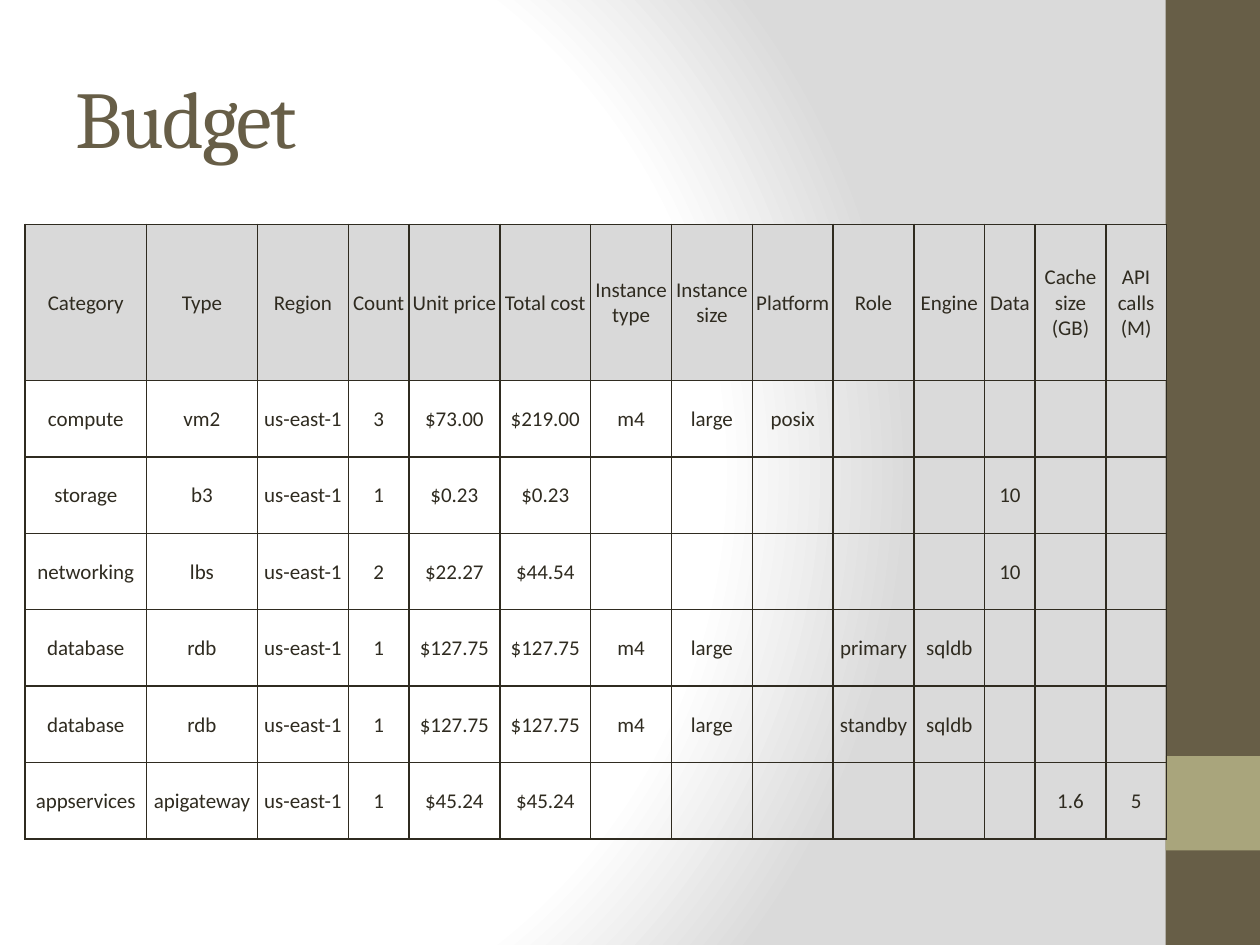
from pptx import Presentation
from pptx.dml.color import RGBColor
from pptx.enum.shapes import MSO_SHAPE as SHAPE
from pptx.enum.text import MSO_ANCHOR as ANCHOR, PP_ALIGN as ALIGN
from pptx.oxml import parse_xml
from pptx.oxml.ns import nsdecls, qn
from pptx.util import Inches, Pt

W, H = Inches(10), Inches(7.5)
BROWN, OLIVE, INK, GREY = "675E47", "A9A57C", "2F2B20", "D9D9D9"

# Column widths as shares of the table width
COLUMNS = [
    ("Category", 12), ("Type", 11), ("Region", 9), ("Count", 6),
    ("Unit price", 9), ("Total cost", 9), ("Instance type", 8),
    ("Instance size", 8), ("Platform", 8), ("Role", 8), ("Engine", 7),
    ("Data", 5), ("Cache size (GB)", 7), ("API calls (M)", 6),
]
REGION = "us-east-1"
SERVER = {"Instance type": "m4", "Instance size": "large"}
DATABASE = SERVER | {"Engine": "sqldb"}

# Six fixed values per item, then the optional ones by column name
ITEMS = [
    (["compute", "vm2", REGION, "3", "$73.00", "$219.00"],
     SERVER | {"Platform": "posix"}),
    (["storage", "b3", REGION, "1", "$0.23", "$0.23"], {"Data": "10"}),
    (["networking", "lbs", REGION, "2", "$22.27", "$44.54"], {"Data": "10"}),
    (["database", "rdb", REGION, "1", "$127.75", "$127.75"],
     DATABASE | {"Role": "primary"}),
    (["database", "rdb", REGION, "1", "$127.75", "$127.75"],
     DATABASE | {"Role": "standby"}),
    (["appservices", "apigateway", REGION, "1", "$45.24", "$45.24"],
     {"Cache size (GB)": "1.6", "API calls (M)": "5"}),
]


def color(value):
    return RGBColor.from_string(value)


def add_run(p, text, size, font, ink):
    r = p.add_run()
    r.text = text
    r.font.size, r.font.name = Pt(size), font
    r.font.color.rgb = color(ink)
    return r


def set_background(s):
    s.background.fill.gradient()
    grad = s.element.find(".//" + qn("a:gradFill"))
    stops = "".join(
        f'<a:gs pos="{pos * 1000}"><a:srgbClr val="{value}"/></a:gs>'
        for pos, value in [(0, "FFFFFF"), (75, "FFFFFF"), (100, "DADADA")])
    grad.getparent().replace(grad, parse_xml(
        f'<a:gradFill {nsdecls("a")} rotWithShape="1"><a:gsLst>{stops}</a:gsLst>'
        '<a:path path="circle"><a:fillToRect l="20000" t="50000" r="100000" '
        'b="50000"/></a:path></a:gradFill>'))


def add_band(s, top, height, fill):
    left = int(W * 0.925)
    sp = s.shapes.add_shape(SHAPE.RECTANGLE, left, int(H * top),
                            W - left, int(H * height))
    sp.shadow.inherit = False
    sp.fill.solid()
    sp.fill.fore_color.rgb = color(fill)
    sp.line.fill.background()


def add_title(s, text):
    sp = s.shapes.add_textbox(int(W * 0.05), int(H * 0.04),
                              int(W * 0.833), Inches(1.25))
    tf = sp.text_frame
    tf.word_wrap = True
    tf.vertical_anchor = ANCHOR.MIDDLE
    r = add_run(tf.paragraphs[0], text, 46, "Cambria", BROWN)
    r.font._element.set("spc", "-100")


def add_borders(cell):
    tc_pr = cell._tc.get_or_add_tcPr()
    for i, side in enumerate(("lnL", "lnR", "lnT", "lnB")):
        tc_pr.insert(i, parse_xml(
            f'<a:{side} {nsdecls("a")} w="12700"><a:solidFill>'
            f'<a:srgbClr val="{INK}"/></a:solidFill></a:{side}>'))


def fill_cell(cell, text, fill=None):
    cell.margin_left = cell.margin_top = cell.margin_right = Inches(0.01)
    cell.margin_bottom = 0
    cell.vertical_anchor = ANCHOR.MIDDLE
    if fill:
        cell.fill.solid()
        cell.fill.fore_color.rgb = color(fill)
    else:
        cell.fill.background()
    add_borders(cell)
    if text:
        p = cell.text_frame.paragraphs[0]
        p.alignment = ALIGN.CENTER
        add_run(p, text, 12, "Calibri", INK)


def add_budget(s):
    names = [name for name, _ in COLUMNS]
    rows = [names] + [
        fixed + [extra.get(name, "") for name in names[len(fixed):]]
        for fixed, extra in ITEMS]
    width, height, head = Inches(9.06), Inches(4.88), Inches(1.24)
    table = s.shapes.add_table(len(rows), len(names), Inches(0.2),
                               Inches(1.78), width, height).table
    total = sum(share for _, share in COLUMNS)
    for column, (_, share) in zip(table.columns, COLUMNS):
        column.width = int(width * share / total)
    for i, (row, texts) in enumerate(zip(table.rows, rows)):
        row.height = (height - head) // len(ITEMS) if i else head
        for cell, text in zip(row.cells, texts):
            fill_cell(cell, text, None if i else GREY)


def main():
    prs = Presentation()
    prs.slide_width, prs.slide_height = W, H
    s = prs.slides.add_slide(prs.slide_layouts[6])

    # Backdrop and side bands
    set_background(s)
    add_band(s, 0, 1, BROWN)
    add_band(s, 0.8, 0.1, OLIVE)

    # Content
    add_title(s, "Budget")
    add_budget(s)
    prs.save("out.pptx")


if __name__ == "__main__":
    main()
